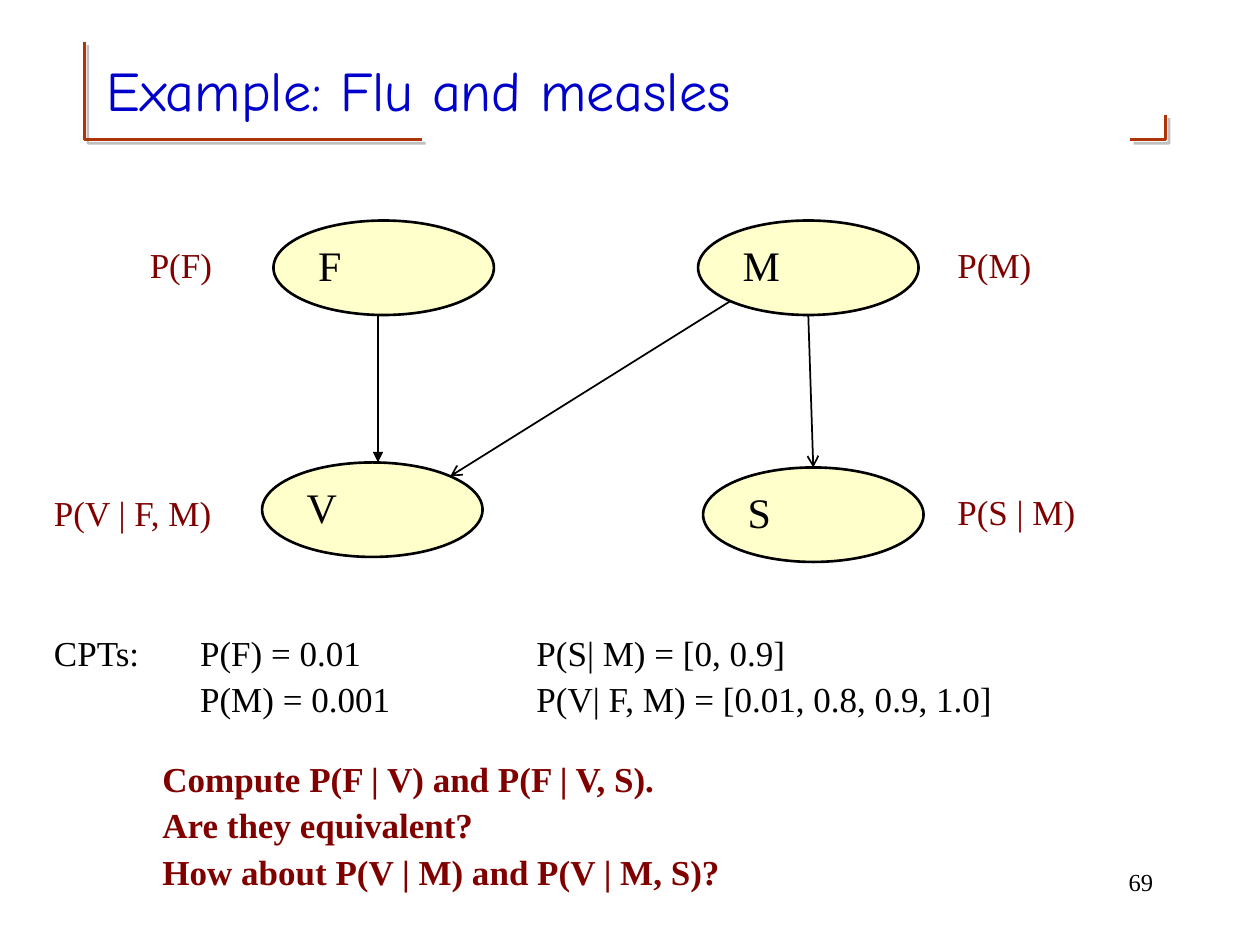
from dataclasses import dataclass
from math import sqrt

from lxml import etree
from pptx import Presentation
from pptx.dml.color import RGBColor
from pptx.enum import shapes, text
from pptx.oxml import ns
from pptx.util import Inches, Pt


@dataclass(frozen=True)
class Theme:
    serif: str = "Times New Roman"
    heading: str = "Comic Neue"
    black: str = "000000"
    maroon: str = "800000"
    blue: str = "0000CC"
    rust: str = "AF3408"
    node: str = "FFFFCC"
    shadow: str = "808080"
    title_size: int = 32
    node_size: int = 24
    body_size: int = 20
    number_size: int = 14


THEME = Theme()
NODE_W, NODE_H = 1.75, 0.75
LABEL_H = 0.4


def rgb(value):
    return RGBColor.from_string(value)


def add_element(parent, tag, **attributes):
    return etree.SubElement(parent, ns.qn(tag), attributes)


def write(tf, lines, size, color, font=THEME.serif, bold=False,
          align=text.PP_ALIGN.LEFT, spacing=0.9):
    tf.word_wrap = True
    for i, line in enumerate(lines):
        p = tf.paragraphs[0] if i == 0 else tf.add_paragraph()
        p.alignment = align
        p.line_spacing = spacing
        if i:
            p.space_before = Pt(5)
        r = p.add_run()
        r.text = line
        r.font.name, r.font.size, r.font.bold = font, Pt(size), bold
        r.font.color.rgb = rgb(color)


def add_text(s, box, lines, size=THEME.body_size, color=THEME.black, **style):
    tf = s.shapes.add_textbox(*map(Inches, box)).text_frame
    write(tf, lines, size, color, **style)
    return tf


def add_bracket(s, points):
    """Open corner line with a soft offset shadow."""
    start, *rest = [(Inches(x), Inches(y)) for x, y in points]
    builder = s.shapes.build_freeform(*start)
    builder.add_line_segments(rest, close=False)
    sp = builder.convert_to_shape()
    sp.fill.background()
    sp.line.color.rgb = rgb(THEME.rust)
    sp.line.width = Pt(1.5)
    sp.shadow.inherit = False
    effects = sp._element.spPr.find(ns.qn("a:effectLst"))
    shadow = add_element(effects, "a:outerShdw", blurRad="0", dist=str(Pt(2.8)),
                         dir=str(45 * 60000), algn="ctr", rotWithShape="0")
    color = add_element(shadow, "a:srgbClr", val=THEME.shadow)
    add_element(color, "a:alpha", val="50000")


def add_title(s, box):
    left, top, width, height = box
    base = top + height - 0.06
    edge = left - 0.08
    add_bracket(s, [(edge, top + 0.08), (edge, base), (edge + 2.68, base)])
    right = left + width
    add_bracket(s, [(right, base - 0.2), (right, base), (right - 0.28, base)])
    tf = add_text(s, box, ["Example: Flu and measles"], THEME.title_size,
                  THEME.blue, font=THEME.heading, spacing=1)
    tf.vertical_anchor = text.MSO_ANCHOR.MIDDLE


def add_node(s, name, left, top):
    sp = s.shapes.add_shape(shapes.MSO_SHAPE.OVAL, Inches(left), Inches(top),
                            Inches(NODE_W), Inches(NODE_H))
    sp.shadow.inherit = False
    sp.fill.solid()
    sp.fill.fore_color.rgb = rgb(THEME.node)
    sp.line.color.rgb = rgb(THEME.black)
    sp.line.width = Pt(1.5)
    sp.text_frame.vertical_anchor = text.MSO_ANCHOR.MIDDLE
    write(sp.text_frame, [name], THEME.node_size, THEME.black)


def rim(corner, dx, dy):
    """Point on a node's outline, dx and dy in radii from its centre."""
    left, top = corner
    return left + NODE_W / 2 * (1 + dx), top + NODE_H / 2 * (1 + dy)


def add_arrow(s, start, end, head):
    line = s.shapes.add_connector(shapes.MSO_CONNECTOR.STRAIGHT,
                                  *map(Inches, (*start, *end)))
    line.line.color.rgb = rgb(THEME.black)
    line.line.width = Pt(1)
    add_element(line.line._get_or_add_ln(), "a:tailEnd", type=head)
    add_element(line._element.spPr, "a:effectLst")


def add_network(s, box):
    left, top, width, height = box
    nodes = {
        "F": (left + 1.84, top),
        "M": (left + 5.21, top),
        "V": (left + 1.75, top + 1.92),
        "S": (left + 5.25, top + 1.96),
    }
    for name, corner in nodes.items():
        add_node(s, name, *corner)

    diagonal = 1 / sqrt(2)
    flu_x = left + 2.67
    add_arrow(s, (flu_x, top + NODE_H), (flu_x, nodes["V"][1]), "triangle")
    add_arrow(s, rim(nodes["M"], 0, 1), rim(nodes["S"], 0, -1), "arrow")
    add_arrow(s, rim(nodes["M"], -diagonal, diagonal),
              rim(nodes["V"], diagonal, -diagonal), "arrow")

    for label, x, y, w in [
        ("P(F)", 0.76, 0.17, 0.75),
        ("P(M)", 7.17, 0.17, 0.85),
        ("P(S | M)", 7.17, 2.13, 1.2),
        ("P(V | F, M)", 0, 2.14, 1.6),
    ]:
        add_text(s, (left + x, top + y, w, LABEL_H), [label], color=THEME.maroon)


def add_tables(s, box):
    left, top, width, height = box
    add_text(s, (left, top, 0.97, LABEL_H), ["CPTs:"])
    add_text(s, (left + 1.16, top, 2.5, height), ["P(F) = 0.01", "P(M) = 0.001"])
    add_text(s, (left + 3.83, top, width - 3.83, height),
             ["P(S| M) = [0, 0.9]", "P(V| F, M) = [0.01, 0.8, 0.9, 1.0]"])


def add_questions(s, box):
    add_text(s, box, [
        "Compute P(F | V) and P(F | V, S).",
        "Are they equivalent?",
        "How about P(V | M) and P(V | M, S)?",
    ], color=THEME.maroon, bold=True)


def add_page_number(s, box):
    add_text(s, box, ["69"], THEME.number_size,
             align=text.PP_ALIGN.RIGHT, spacing=1)


def main():
    prs = Presentation()
    prs.slide_width, prs.slide_height = Inches(10), Inches(7.5)
    s = prs.slides.add_slide(prs.slide_layouts[6])
    add_title(s, (0.75, 0.25, 8.5, 0.92))
    add_network(s, (0.33, 1.75, 8.32, 2.71))
    add_tables(s, (0.33, 5, 9.26, 0.77))
    add_questions(s, (1.19, 6, 4.8, 1.14))
    add_page_number(s, (7.17, 6.83, 2.08, 0.5))
    prs.save("out.pptx")


if __name__ == "__main__":
    main()
